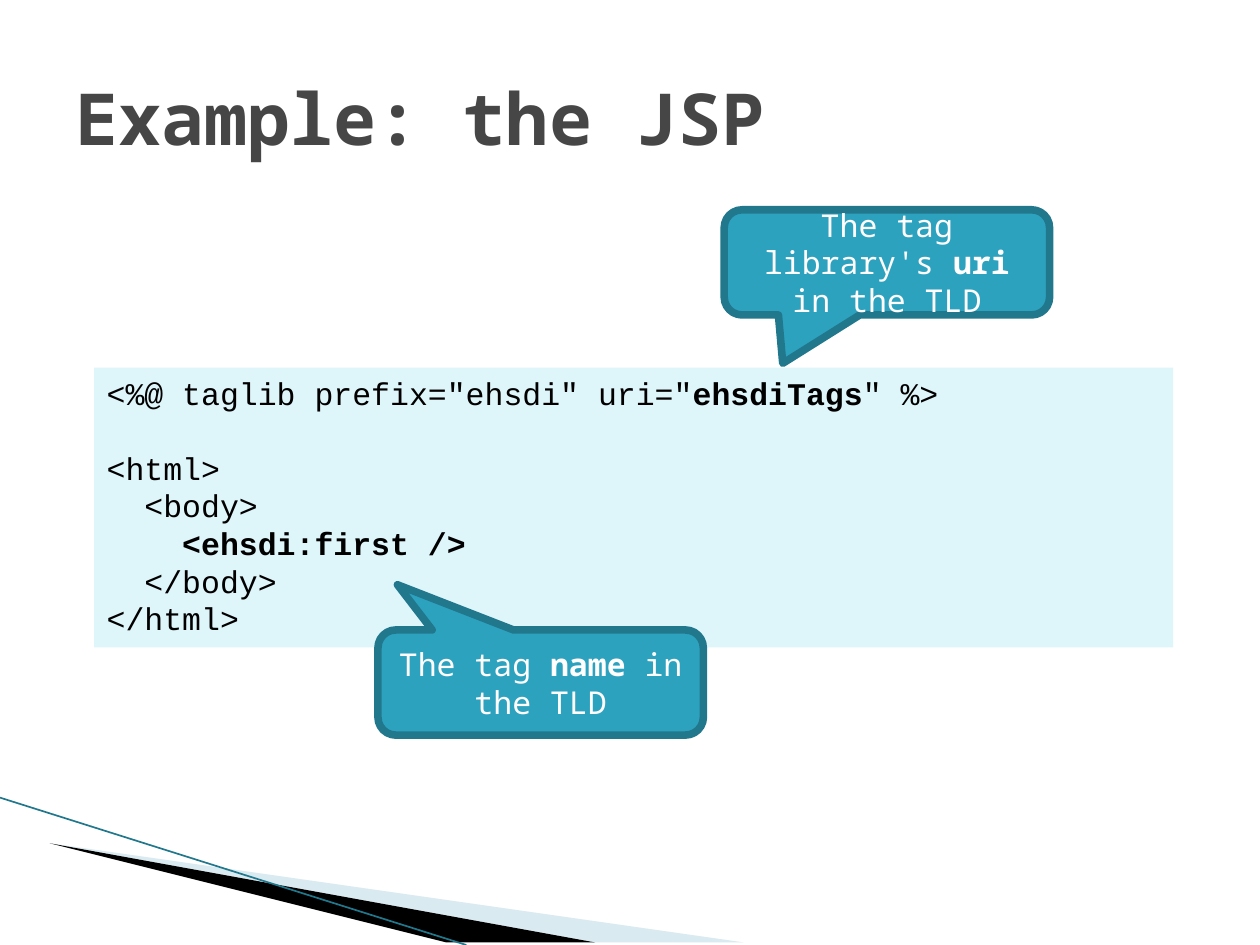
import lxml.etree
import pptx
import pptx.dml.color
import pptx.enum.shapes
import pptx.enum.text
import pptx.oxml.ns
import pptx.util

Cm, Pt = pptx.util.Cm, pptx.util.Pt
ALIGN, ANCHOR = pptx.enum.text.PP_ALIGN, pptx.enum.text.MSO_ANCHOR
SHAPE = pptx.enum.shapes.MSO_SHAPE
qn = pptx.oxml.ns.qn

SLIDE_WIDTH, SLIDE_HEIGHT = 25.4, 19.05
SANS, CODE = "Noto Sans Mono", "Courier New"
TEAL, DARK_TEAL, PALE_CYAN, PALE_BLUE = "2DA2BF", "21788D", "DEF5FA", "A0CBDC"
CODE_PITCH = Pt(21.5)


def color(hex_text):
    return pptx.dml.color.RGBColor.from_string(hex_text)


def set_fill(shape, hex_text):
    shape.shadow.inherit = False
    shape.fill.solid()
    shape.fill.fore_color.rgb = color(hex_text)


def add_runs(paragraph, pieces, font, size, hex_text):
    """Write (text, bold) pieces in one font."""
    for text, bold in pieces:
        run = paragraph.add_run()
        run.text = text
        formats = {"name": font, "size": Pt(size), "bold": bold}
        for key, value in formats.items():
            setattr(run.font, key, value)
        run.font.color.rgb = color(hex_text)


def format_frame(frame, anchor):
    formats = {"word_wrap": True, "vertical_anchor": anchor,
               "auto_size": pptx.enum.text.MSO_AUTO_SIZE.NONE}
    for key, value in formats.items():
        setattr(frame, key, value)


def add_title(slide, box, text):
    title = slide.shapes.title
    for key, value in zip(("left", "top", "width", "height"), box):
        setattr(title, key, Cm(value))
    format_frame(title.text_frame, ANCHOR.MIDDLE)
    paragraph = title.text_frame.paragraphs[0]
    paragraph.alignment = ALIGN.LEFT
    add_runs(paragraph, [(text, True)], SANS, 41, "464646")


def add_wedge(slide, corners, hex_text, opacity=100):
    builder = slide.shapes.build_freeform(*corners[0], scale=Cm(1))
    builder.add_line_segments(corners[1:], close=True)
    wedge = builder.convert_to_shape()
    set_fill(wedge, hex_text)
    wedge.line.fill.background()
    if opacity < 100:
        fill_color = wedge._element.spPr.find(qn("a:solidFill"))[0]
        alpha = lxml.etree.SubElement(fill_color, qn("a:alpha"))
        alpha.set("val", str(opacity * 1000))


def add_corner_decoration(slide, box):
    """Two wedges and an edge line running down to the slide's bottom."""
    left, top, width, height = box
    bottom = top + height
    tip = (left + 1.4, top + 0.44)
    add_wedge(slide, [tip, (left + width, bottom), (left + 11.58, bottom)],
              PALE_BLUE, 40)
    add_wedge(slide, [tip, (left + 11.6, bottom), (left + 9.4, bottom)],
              "000000")
    edge = slide.shapes.add_connector(
        pptx.enum.shapes.MSO_CONNECTOR.STRAIGHT,
        Cm(left), Cm(top), Cm(left + 9.4), Cm(bottom))
    edge.line.color.rgb = color(DARK_TEAL)
    edge.line.width = Pt(0.95)
    lxml.etree.SubElement(edge._element.spPr, qn("a:effectLst"))


def add_code(slide, box, lines):
    """Lines are (pieces, space before) pairs."""
    panel = slide.shapes.add_shape(SHAPE.RECTANGLE, *map(Cm, box))
    set_fill(panel, PALE_CYAN)
    panel.line.fill.background()
    frame = panel.text_frame
    format_frame(frame, ANCHOR.TOP)
    for index, (pieces, gap) in enumerate(lines):
        paragraph = frame.add_paragraph() if index else frame.paragraphs[0]
        formats = {"alignment": ALIGN.LEFT, "line_spacing": CODE_PITCH}
        if gap:
            formats["space_before"] = gap
        for key, value in formats.items():
            setattr(paragraph, key, value)
        add_runs(paragraph, pieces, CODE, 18, "000000")


def add_callout(slide, box, pointer, pieces):
    callout = slide.shapes.add_shape(SHAPE.ROUNDED_RECTANGULAR_CALLOUT,
                                     *map(Cm, box))
    set_fill(callout, TEAL)
    callout.line.color.rgb = color(DARK_TEAL)
    callout.line.width = Pt(4.33)
    for index, value in enumerate(pointer):
        callout.adjustments[index] = value
    format_frame(callout.text_frame, ANCHOR.MIDDLE)
    paragraph = callout.text_frame.paragraphs[0]
    paragraph.alignment = ALIGN.CENTER
    add_runs(paragraph, pieces, SANS, 18, "FFFFFF")


def main():
    deck = pptx.Presentation()
    deck.slide_width, deck.slide_height = Cm(SLIDE_WIDTH), Cm(SLIDE_HEIGHT)
    slide = deck.slides.add_slide(deck.slide_layouts.get_by_name("Title Only"))

    add_corner_decoration(slide, (0, 16.08, 15.1, SLIDE_HEIGHT - 16.08))
    add_title(slide, (1.27, 0.76, 22.86, 3.18), "Example: the JSP")
    add_code(slide, (1.9, 7.41, 21.75, 5.64), [
        ([('<%@ taglib prefix="ehsdi" uri="', False),
          ("ehsdiTags", True), ('" %>', False)], None),
        ([("<html>", False)], CODE_PITCH),
        ([("  <body>", False)], None),
        ([("    <ehsdi:first />", True)], None),
        ([("  </body>", False)], None),
        ([("</html>", False)], None),
    ])
    callout_size = (6.56, 2.12)
    add_callout(slide, (7.62, 12.7, *callout_size), (-0.44, -0.93, 0.17),
                [("The tag ", False), ("name", True), (" in the TLD", False)])
    add_callout(slide, (14.6, 4.23, *callout_size), (-0.32, 0.96, 0.17),
                [("The tag library's ", False), ("uri", True),
                 (" in the TLD", False)])
    deck.save("out.pptx")


if __name__ == "__main__":
    main()
